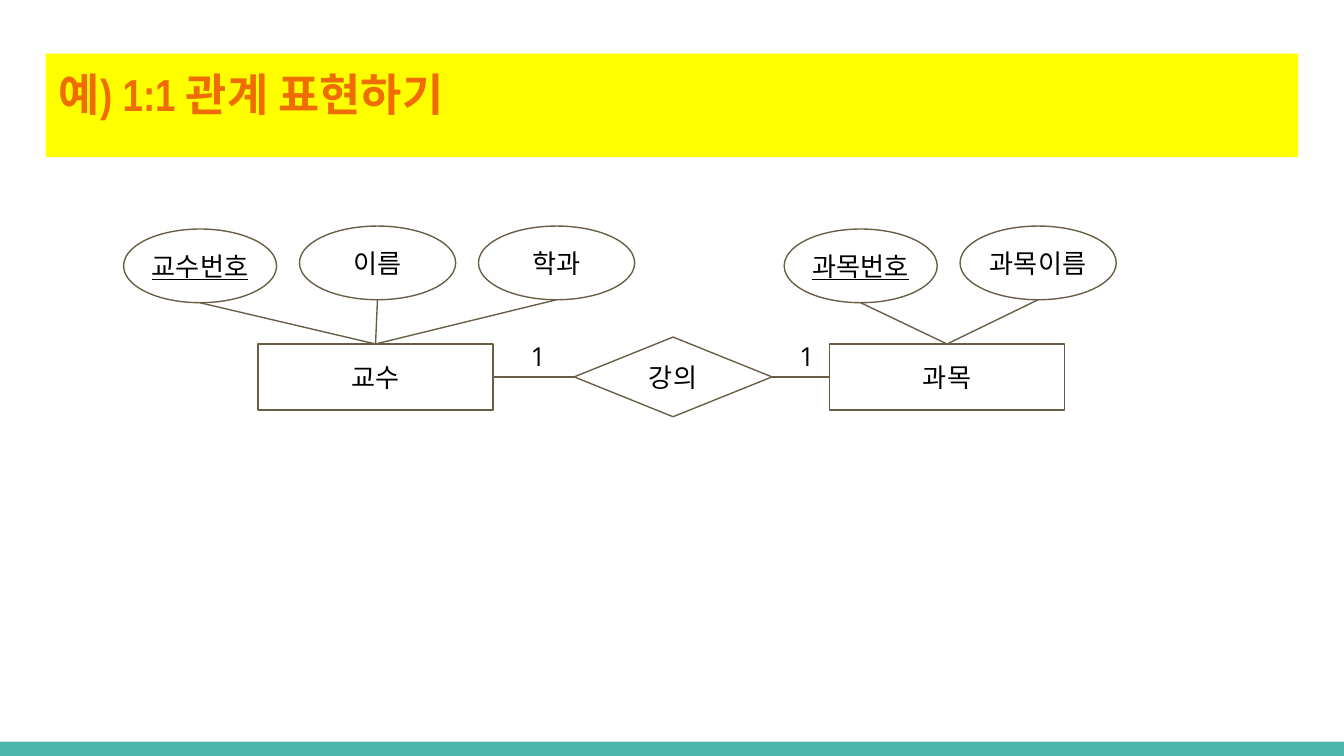
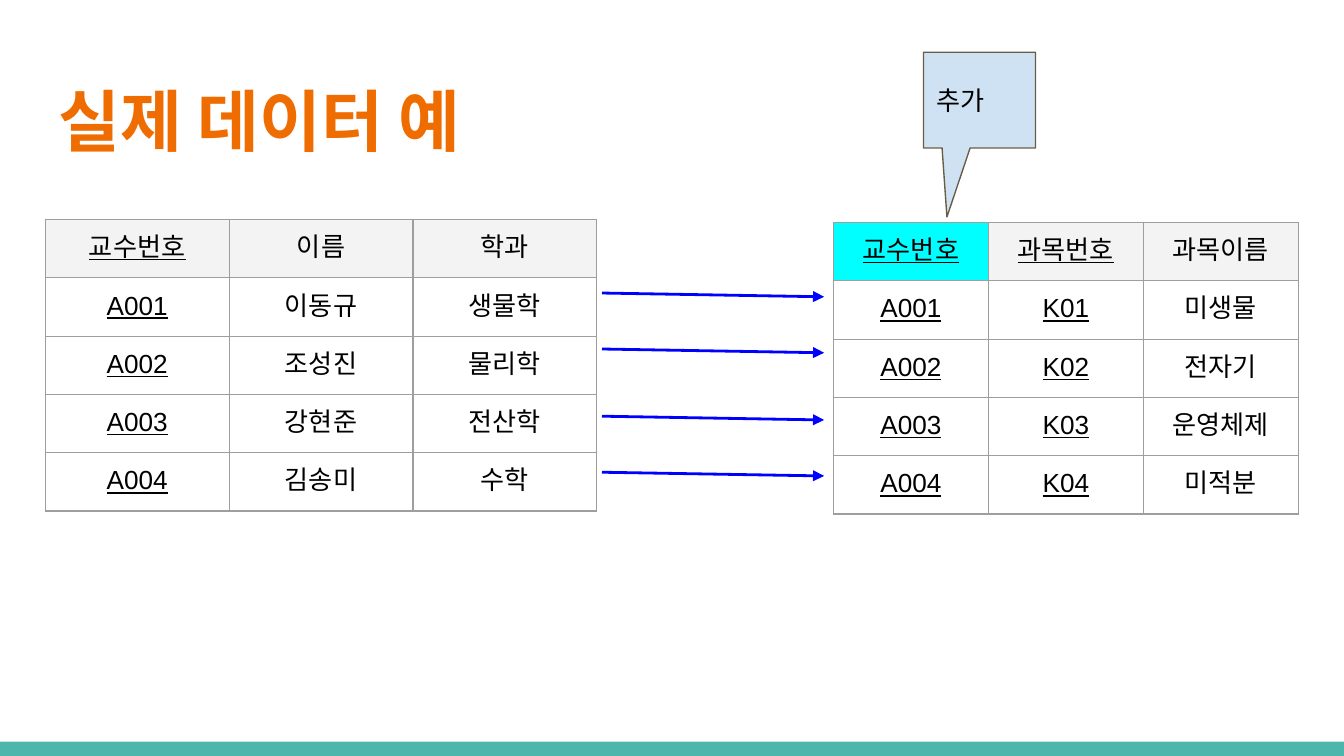
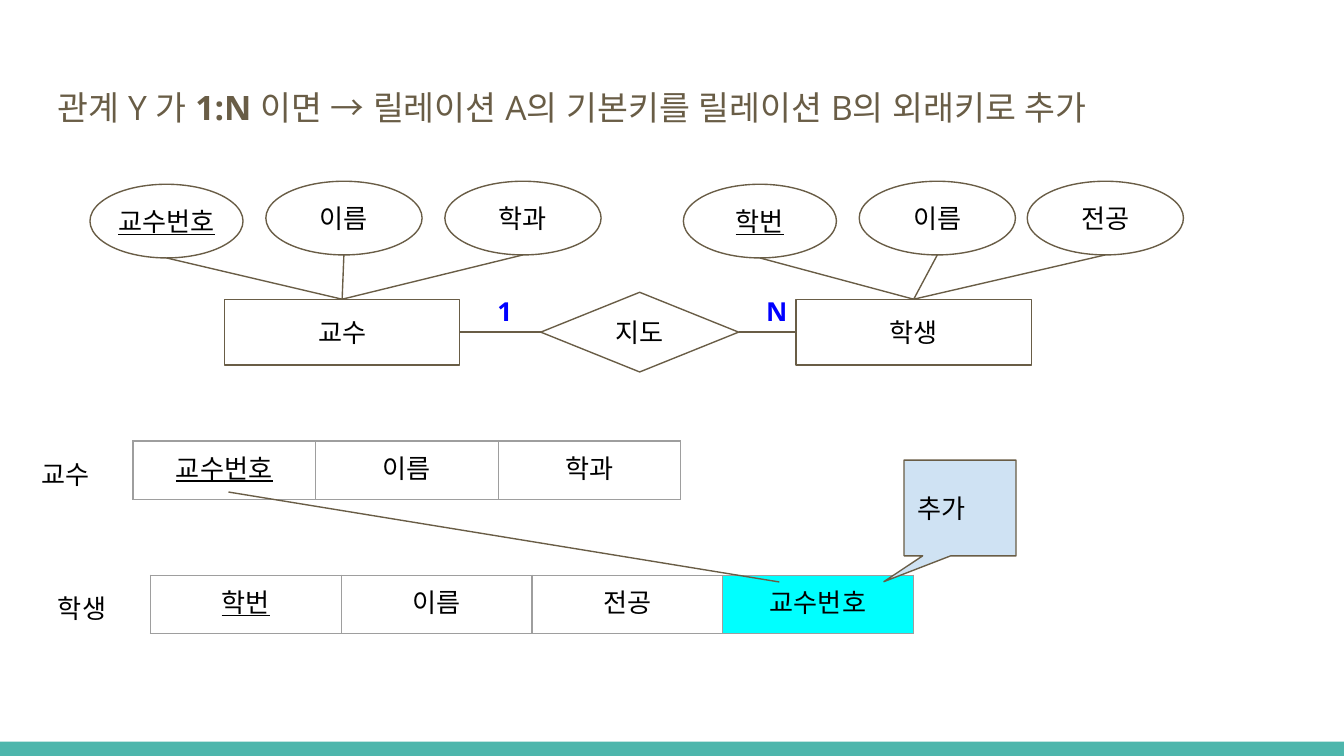
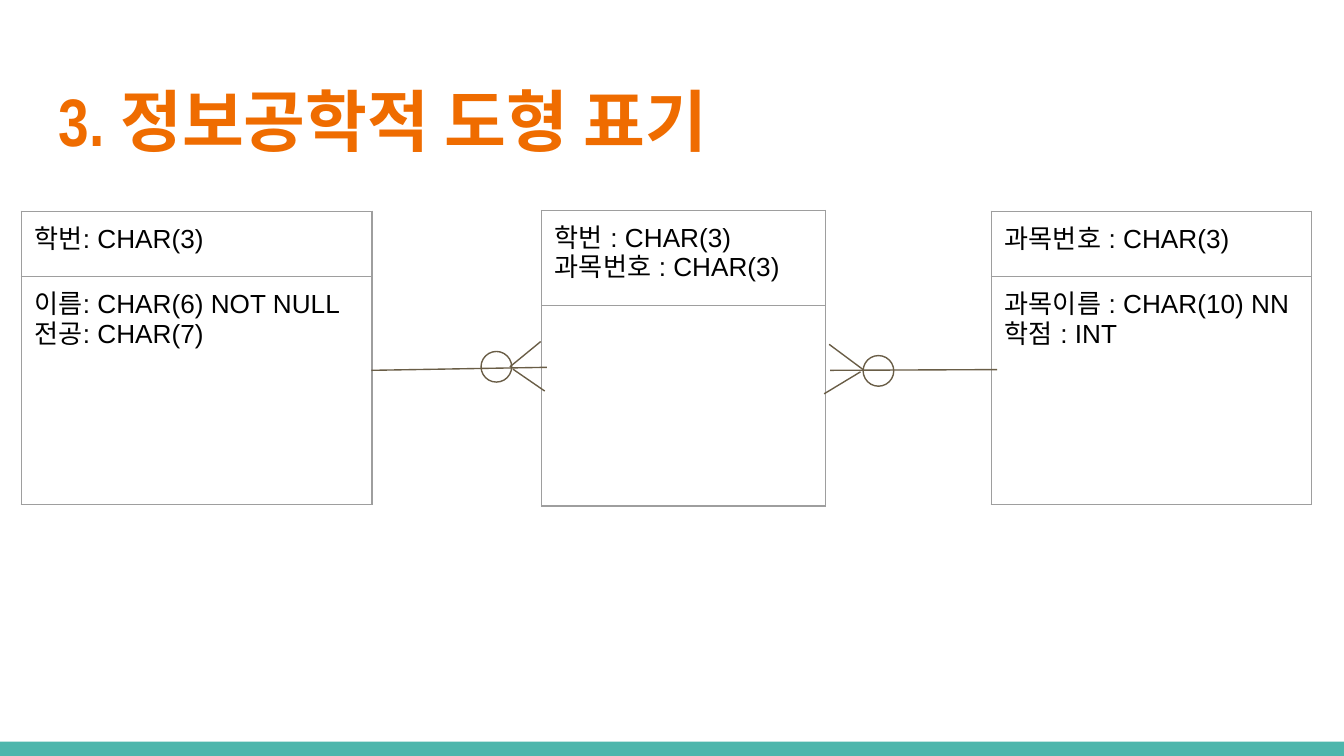
from lxml.etree import SubElement as Sub
from pptx import Presentation
from pptx.dml.color import RGBColor as RGB
from pptx.enum.shapes import MSO_CONNECTOR as Conn, MSO_SHAPE as Form
from pptx.enum.text import MSO_ANCHOR as Anchor, PP_ALIGN as Align
from pptx.oxml.ns import qn
from pptx.util import Pt

TEAL = "4DB6AC"
ORANGE = "EF6C00"
BROWN = "695D46"
BLACK = "000000"
WHITE = "FFFFFF"
YELLOW = "FFFF00"
CYAN = "00FFFF"
BLUE = "0000FF"
PALE = "CFE2F3"
GRAY = "9E9E9E"
LIGHT = "F3F3F3"
BODY = "Arial"
SANS = "Open Sans"
HEAD = "Arial Narrow"
PAD = 7.2


def color(code):
    return RGB.from_string(code)


def style(run, size=14, face=BODY, ink=BLACK, bold=False, under=False):
    font = run.font
    font.size = Pt(size)
    font.name = face
    font.bold = bold
    font.underline = under
    font.color.rgb = color(ink)
    props = run._r.get_or_add_rPr()
    for tag in ("a:ea", "a:cs"):
        Sub(props, qn(tag)).set("typeface", face)


def write(frame, text, align=Align.LEFT, **look):
    frame.text = text
    for para in frame.paragraphs:
        para.alignment = align
        for run in para.runs:
            style(run, **look)


def inset(frame, pad):
    frame.margin_left = frame.margin_right = Pt(pad)
    frame.margin_top = frame.margin_bottom = Pt(pad)
    frame.word_wrap = True


def shape(slide, form, x, y, w, h, fill=None, line=BROWN):
    item = slide.shapes.add_shape(form, Pt(x), Pt(y), Pt(w), Pt(h))
    item.shadow.inherit = False
    if fill:
        item.fill.solid()
        item.fill.fore_color.rgb = color(fill)
    else:
        item.fill.background()
    if line:
        item.line.color.rgb = color(line)
        item.line.width = Pt(0.75)
    else:
        item.line.fill.background()
    return item


def node(slide, form, text, x, y, w, h, under=False):
    item = shape(slide, form, x, y, w, h, WHITE)
    inset(item.text_frame, 0)
    item.text_frame.vertical_anchor = Anchor.MIDDLE
    write(item.text_frame, text, Align.CENTER, under=under)
    return item


def label(slide, text, x, y, w, h, **look):
    box = slide.shapes.add_textbox(Pt(x), Pt(y), Pt(w), Pt(h))
    inset(box.text_frame, PAD)
    write(box.text_frame, text, **look)
    return box


def title(slide, text, y=35.3, size=36, fill=None):
    box = label(slide, text, 24.5, y, 671, 55.4,
                size=size, face=HEAD, ink=ORANGE, bold=True)
    if fill:
        box.fill.solid()
        box.fill.fore_color.rgb = color(fill)


def line(slide, x1, y1, x2, y2, ink=BROWN, width=0.75):
    item = slide.shapes.add_connector(
        Conn.STRAIGHT, Pt(x1), Pt(y1), Pt(x2), Pt(y2))
    item.line.color.rgb = color(ink)
    item.line.width = Pt(width)
    Sub(item._element.spPr, qn("a:effectLst"))
    return item


def arrow(slide, x1, y1, x2, y2):
    item = line(slide, x1, y1, x2, y2, BLUE, 1.5)
    Sub(item.line._get_or_add_ln(), qn("a:tailEnd")).set("type", "triangle")


def link(slide, start, end):
    item = line(slide, 0, 0, 0, 0)
    item.begin_connect(start, 3)
    item.end_connect(end, 1)


def entity(slide, name, x, y, traits):
    box = node(slide, Form.RECTANGLE, name, x, y, 126, 35.3)
    for index, (text, left) in enumerate(traits):
        key = index == 0
        top, wide = (y - 61.6, 82) if key else (y - 63.2, 83.7)
        node(slide, Form.OVAL, text, left, top, wide, 39.5, key)
        spoke = line(slide, left + wide / 2, top + 39.5, x + 63, y)
        spoke.end_connect(box, 0)
    return box


def relate(slide, name, x, y, left, right, marks, **look):
    one = entity(slide, left[0], x, y, left[1])
    many = entity(slide, right[0], x + 306.2, y, right[1])
    bond = node(slide, Form.DIAMOND, name, x + 169.4, y - 3.7, 106, 42.7)
    link(slide, one, bond)
    link(slide, bond, many)
    for text, gap in zip(marks, (139, 283)):
        label(slide, text, x + gap, y - 9.4, 23, 23, face=SANS, **look)


def border(cell):
    props = cell._tc.get_or_add_tcPr()
    for side in ("lnL", "lnR", "lnT", "lnB"):
        edge = Sub(props, qn("a:" + side), w=str(Pt(0.75)))
        Sub(Sub(edge, qn("a:solidFill")), qn("a:srgbClr"), val=GRAY)


def table(slide, x, y, wide, highs, rows, keys=0, fills=(), align=Align.CENTER):
    count = len(rows[0])
    grid = slide.shapes.add_table(
        len(rows), count, Pt(x), Pt(y), Pt(wide * count), Pt(sum(highs))).table
    grid.first_row = grid.horz_banding = False
    for col in grid.columns:
        col.width = Pt(wide)
    for r, (high, texts) in enumerate(zip(highs, rows)):
        grid.rows[r].height = Pt(high)
        for c, text in enumerate(texts):
            cell = grid.cell(r, c)
            inset(cell.text_frame, PAD)
            cell.margin_left = cell.margin_right = Pt(PAD)
            cell.margin_top = cell.margin_bottom = Pt(PAD)
            write(cell.text_frame, text, align, under=c < keys)
            border(cell)
            if r == 0 and fills and fills[c]:
                cell.fill.solid()
                cell.fill.fore_color.rgb = color(fills[c])
            else:
                cell.fill.background()


def note(slide, x, y, dx, dy):
    item = shape(slide, Form.ROUNDED_RECTANGULAR_CALLOUT, x, y, 60, 51.3, PALE)
    for index, value in enumerate((dx, dy, 0)):
        item.adjustments[index] = value
    inset(item.text_frame, PAD)
    item.text_frame.vertical_anchor = Anchor.MIDDLE
    write(item.text_frame, "추가")


def page(deck):
    slide = deck.slides.add_slide(deck.slide_layouts[6])
    shape(slide, Form.RECTANGLE, 0, 397.4, 720, 7.6, TEAL, None)
    return slide


def pair(deck):
    slide = page(deck)
    title(slide, "예) 1:1 관계 표현하기", 28.8, 24, YELLOW)
    relate(slide, "강의", 138.2, 184.3,
           ("교수", (("교수번호", 66.2), ("이름", 160.4), ("학과", 256.3))),
           ("과목", (("과목번호", 420.1), ("과목이름", 514.3))), "11")


def data(deck):
    slide = page(deck)
    title(slide, "실제 데이터 예")
    highs = [30.5] * 5
    table(slide, 24.3, 117.6, 98.5, highs, (
        ("교수번호", "이름", "학과"),
        ("A001", "이동규", "생물학"),
        ("A002", "조성진", "물리학"),
        ("A003", "강현준", "전산학"),
        ("A004", "김송미", "수학")), 1, (LIGHT, LIGHT, LIGHT))
    table(slide, 446.5, 119.2, 83, highs, (
        ("교수번호", "과목번호", "과목이름"),
        ("A001", "K01", "미생물"),
        ("A002", "K02", "전자기"),
        ("A003", "K03", "운영체제"),
        ("A004", "K04", "미적분")), 2, (CYAN, LIGHT, LIGHT))
    for y in (157, 187, 223, 253):
        arrow(slide, 322.5, y, 441.5, y + 2)
    note(slide, 494.7, 28, -0.29, 1.22)


def many(deck):
    slide = page(deck)
    box = label(slide, "관계 Y 가 ", 23.8, 36, 676, 48,
                size=18, face=SANS, ink=BROWN)
    para = box.text_frame.paragraphs[0]
    para.line_spacing = 1.15
    para.space_after = Pt(16)
    for text, bold in (("1:N", True),
                       (" 이면 → 릴레이션 A의 기본키를 릴레이션 B의 외래키로 추가", False)):
        run = para.add_run()
        run.text = text
        style(run, 18, SANS, BROWN, bold)
    relate(slide, "지도", 120.3, 160.3,
           ("교수", (("교수번호", 48.2), ("이름", 142.4), ("학과", 238.3))),
           ("학생", (("학번", 366.1), ("이름", 460.3), ("전공", 550.3))),
           "1N", ink=BLUE, bold=True)
    table(slide, 71.3, 236.3, 97.8, [30.5], (("교수번호", "이름", "학과"),), 1)
    label(slide, "교수", 15, 238.3, 52.5, 28, face=SANS)
    table(slide, 80.6, 308.2, 102.2, [30.7],
          (("학번", "이름", "전공", "교수번호"),), 1, (None, None, None, CYAN))
    label(slide, "학생", 24, 309.9, 52.5, 28, face=SANS)
    line(slide, 122.4, 263.6, 417.5, 311.8)
    note(slide, 484.3, 246.5, -0.68, 0.77)


def crow(deck):
    slide = page(deck)
    title(slide, "3. 정보공학적 도형 표기")
    for x, y, wide, highs, head, body in (
            (11.3, 113.2, 188, (35, 122.2), "학번: CHAR(3)",
             "이름: CHAR(6) NOT NULL\n전공: CHAR(7)"),
            (290, 112.7, 152.2, (51.1, 107.3),
             "학번 : CHAR(3)\n과목번호 : CHAR(3)", ""),
            (531, 113.2, 171.8, (35, 122.2), "과목번호 : CHAR(3)",
             "과목이름 : CHAR(10) NN\n학점 : INT")):
        table(slide, x, y, wide, highs, ((head,), (body,)), align=Align.LEFT)
    for ends in ((199, 198.4, 293, 196.8), (444.7, 198.4, 534.2, 198),
                 (289.7, 183, 273.2, 196.5), (291.8, 209.5, 274.8, 197.8),
                 (444.2, 184.5, 462.4, 198), (441.5, 211, 461, 199.2)):
        line(slide, *ends)
    for x, y in ((257.7, 188.3), (462.4, 190.5)):
        shape(slide, Form.OVAL, x, y, 16.4, 16.4)


def main():
    deck = Presentation()
    deck.slide_width, deck.slide_height = Pt(720), Pt(405)
    for build in (pair, data, many, crow):
        build(deck)
    deck.save("out.pptx")


if __name__ == "__main__":
    main()
